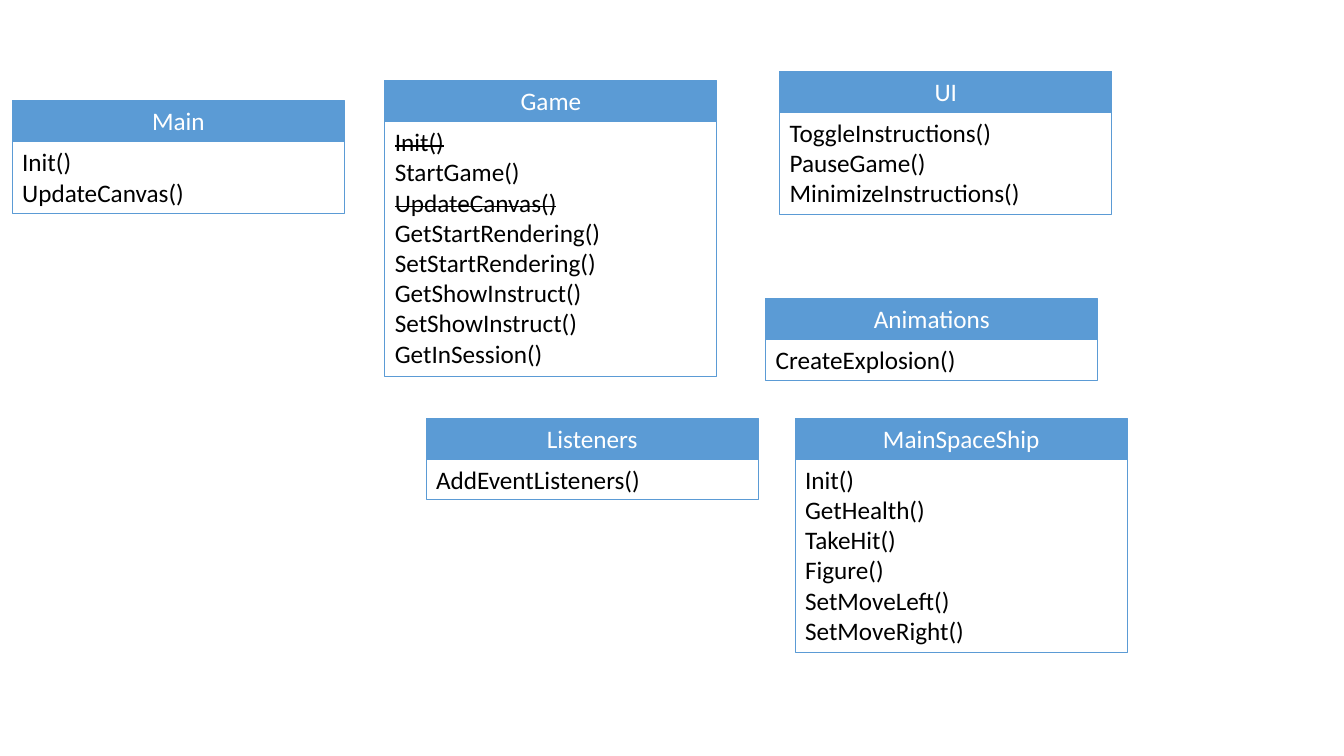
from dataclasses import dataclass

from pptx import Presentation
from pptx import util as u
from pptx.dml import color
from pptx.enum import text


@dataclass(frozen=True)
class Theme:
    accent: color.RGBColor = color.RGBColor(0x5B, 0x9B, 0xD5)
    header_text: color.RGBColor = color.RGBColor(0xFF, 0xFF, 0xFF)
    body_text: color.RGBColor = color.RGBColor(0, 0, 0)
    font: str = "Calibri"
    size: u.Pt = u.Pt(18)
    line_width: u.Pt = u.Pt(0.75)


THEME = Theme()

# Lengths in centimetres
CARD_WIDTH = 8.37
FIRST_LINE = 1.03  # one line of text with its insets
NEXT_LINE = 0.77

# Class name, left, top, methods; "~" marks a method that is struck out
CLASSES = [
    ("Game", 9.7, 2.03, [
        "~Init()", "StartGame()", "~UpdateCanvas()", "GetStartRendering()",
        "SetStartRendering()", "GetShowInstruct()", "SetShowInstruct()",
        "GetInSession()"]),
    ("UI", 19.65, 1.8, [
        "ToggleInstructions()", "PauseGame()", "MinimizeInstructions()"]),
    ("Animations", 19.3, 7.53, ["CreateExplosion()"]),
    ("MainSpaceShip", 20.04, 10.54, [
        "Init()", "GetHealth()", "TakeHit()", "Figure()", "SetMoveLeft()",
        "SetMoveRight()"]),
    ("Listeners", 10.74, 10.54, ["AddEventListeners()"]),
    ("Main", 0.31, 2.54, ["Init()", "UpdateCanvas()"]),
]


def apply_format(target, values):
    for name, value in values.items():
        setattr(target, name, value)


def add_compartment(group, left, top, lines, text_color, alignment):
    """Add one outlined box of text lines; return it with its height."""
    height = FIRST_LINE + NEXT_LINE * (len(lines) - 1)
    box = group.shapes.add_textbox(
        u.Cm(left), u.Cm(top), u.Cm(CARD_WIDTH), u.Cm(height))
    box.line.color.rgb = THEME.accent
    box.line.width = THEME.line_width
    frame = box.text_frame
    apply_format(frame, {
        "word_wrap": True,
        "auto_size": text.MSO_AUTO_SIZE.SHAPE_TO_FIT_TEXT,
    })
    for index, line in enumerate(lines):
        paragraph = frame.add_paragraph() if index else frame.paragraphs[0]
        paragraph.alignment = alignment
        run = paragraph.add_run()
        run.text = line.lstrip("~")
        apply_format(run.font, {"name": THEME.font, "size": THEME.size})
        run.font.color.rgb = text_color
        if line.startswith("~"):
            run._r.get_or_add_rPr().set("strike", "sngStrike")
    return box, height


def add_class_card(slide, name, left, top, methods):
    group = slide.shapes.add_group_shape()

    # Header with the class name
    header, header_height = add_compartment(
        group, left, top, [name], THEME.header_text, text.PP_ALIGN.CENTER)
    header.fill.solid()
    header.fill.fore_color.rgb = THEME.accent

    # Method list
    add_compartment(group, left, top + header_height, methods,
                    THEME.body_text, text.PP_ALIGN.LEFT)


def build_class_diagram(presentation):
    slide = presentation.slides.add_slide(presentation.slide_layouts[6])
    for class_card in CLASSES:
        add_class_card(slide, *class_card)


presentation = Presentation()
apply_format(presentation, {
    "slide_width": u.Cm(33.87),
    "slide_height": u.Cm(19.05),
})
build_class_diagram(presentation)
presentation.save("out.pptx")
